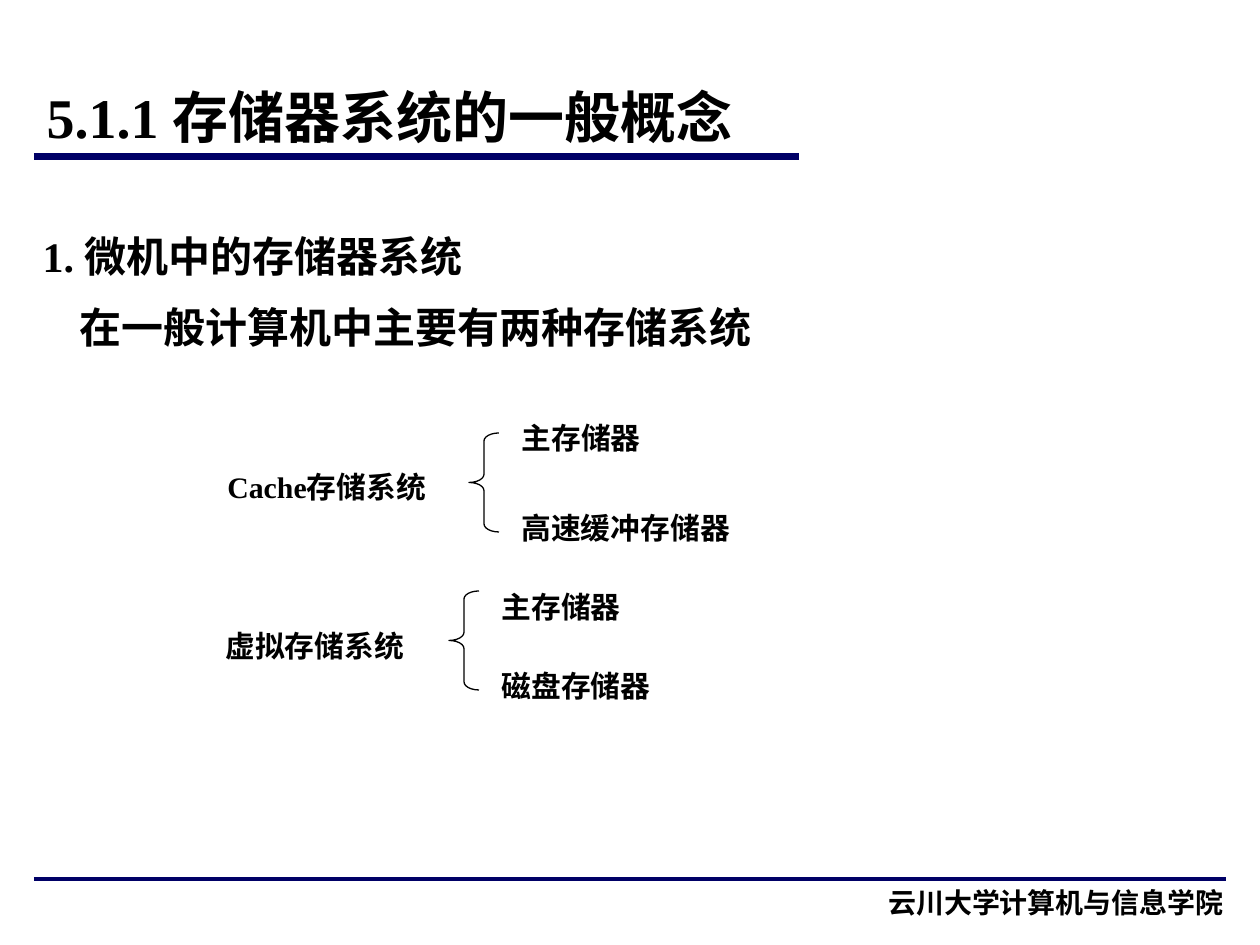
"""Build the slide on the general concept of memory systems."""
from lxml.etree import SubElement
from pptx import Presentation
from pptx.dml.color import RGBColor
from pptx.enum.shapes import MSO_CONNECTOR as Connector, MSO_SHAPE as Shape
from pptx.enum.text import MSO_ANCHOR as Anchor, MSO_AUTO_SIZE as AutoSize, PP_ALIGN as Align
from pptx.oxml.ns import qn
from pptx.util import Emu, Pt

SCALE = 914400 / 126
COLORS = {"text": "000000", "rule": "000066"}
LATIN, CHINESE = "Times New Roman", "Noto Sans CJK SC"
FORMATS = {
    "title": {"font": {"size": Pt(32), "name": LATIN},
              "paragraph": {"alignment": Align.JUSTIFY}, "anchor": Anchor.MIDDLE},
    "body": {"font": {"size": Pt(24), "name": LATIN},
             "paragraph": {"alignment": Align.LEFT, "line_spacing": 1.2, "space_before": Pt(6)},
             "anchor": Anchor.TOP},
    "label": {"font": {"size": Pt(17), "name": LATIN},
              "paragraph": {"line_spacing": 1.0, "space_before": Pt(5)}, "anchor": Anchor.MIDDLE},
    "footer": {"font": {"size": Pt(16), "name": CHINESE},
               "paragraph": {"alignment": Align.RIGHT}, "anchor": Anchor.TOP},
}


def px(*values):
    return [Emu(round(value * SCALE)) for value in values]


def write(shape, box, lines, kind):
    shape.left, shape.top, shape.width, shape.height = px(*box)
    style = FORMATS[kind]
    frame = shape.text_frame
    frame.word_wrap = True
    frame.auto_size = AutoSize.NONE
    frame.vertical_anchor = style["anchor"]
    frame.text = "\n".join(lines)
    for paragraph in frame.paragraphs:
        for name, value in style["paragraph"].items():
            setattr(paragraph, name, value)
        font = paragraph.runs[0].font
        for name, value in {**style["font"], "bold": True}.items():
            setattr(font, name, value)
        font.color.rgb = RGBColor.from_string(COLORS["text"])
        SubElement(paragraph.runs[0]._r.get_or_add_rPr(), qn("a:ea"), typeface=CHINESE)


presentation = Presentation()
presentation.slide_width, presentation.slide_height = px(1260, 945)
slide = presentation.slides.add_slide(presentation.slide_layouts[1])
shapes = slide.shapes

for right, y, weight in [(799, 157, 4), (1226, 879, 2)]:
    rule = shapes.add_connector(Connector.STRAIGHT, *px(34, y, right, y))
    rule.line.color.rgb = RGBColor.from_string(COLORS["rule"])
    rule.line.width = Pt(weight)
    SubElement(rule._element.spPr, qn("a:effectLst"))

write(shapes.title, (34, 66, 1101, 101), ["5.1.1 存储器系统的一般概念"], "title")

body = slide.placeholders[1]
write(body, (30, 214, 1211, 149), ["1. 微机中的存储器系统", "在一般计算机中主要有两种存储系统"], "body")
for paragraph, indent in zip(body.text_frame.paragraphs, (0, 37)):
    properties = paragraph._p.get_or_add_pPr()
    properties.set("marL", str(px(indent)[0]))
    properties.set("indent", "0")
    SubElement(properties, qn("a:buNone"))

footer = shapes.add_textbox(*px(719, 879, 517, 66))
write(footer, (719, 879, 517, 66), ["云川大学计算机与信息学院"], "footer")

systems = [
    ((469, 433, 30, 99), [("Cache存储系统", 215, 462, 266), ("主存储器", 509, 413, 170),
                          ("高速缓冲存储器", 509, 503, 328)]),
    ((449, 591, 30, 99), [("虚拟存储系统", 213, 621, 238), ("主存储器", 489, 582, 198),
                          ("磁盘存储器", 489, 661, 210)]),
]
for brace_box, labels in systems:
    group = shapes.add_group_shape()
    for text, left, top, width in labels:
        box = (left, top, width, 49)
        write(group.shapes.add_textbox(*px(*box)), box, [text], "label")
    brace = group.shapes.add_shape(Shape.LEFT_BRACE, *px(*brace_box))
    brace.adjustments[0] = 0.27
    brace.shadow.inherit = False
    brace.fill.background()
    brace.line.color.rgb = RGBColor.from_string(COLORS["text"])
    brace.line.width = Pt(0.75)

presentation.save("out.pptx")
